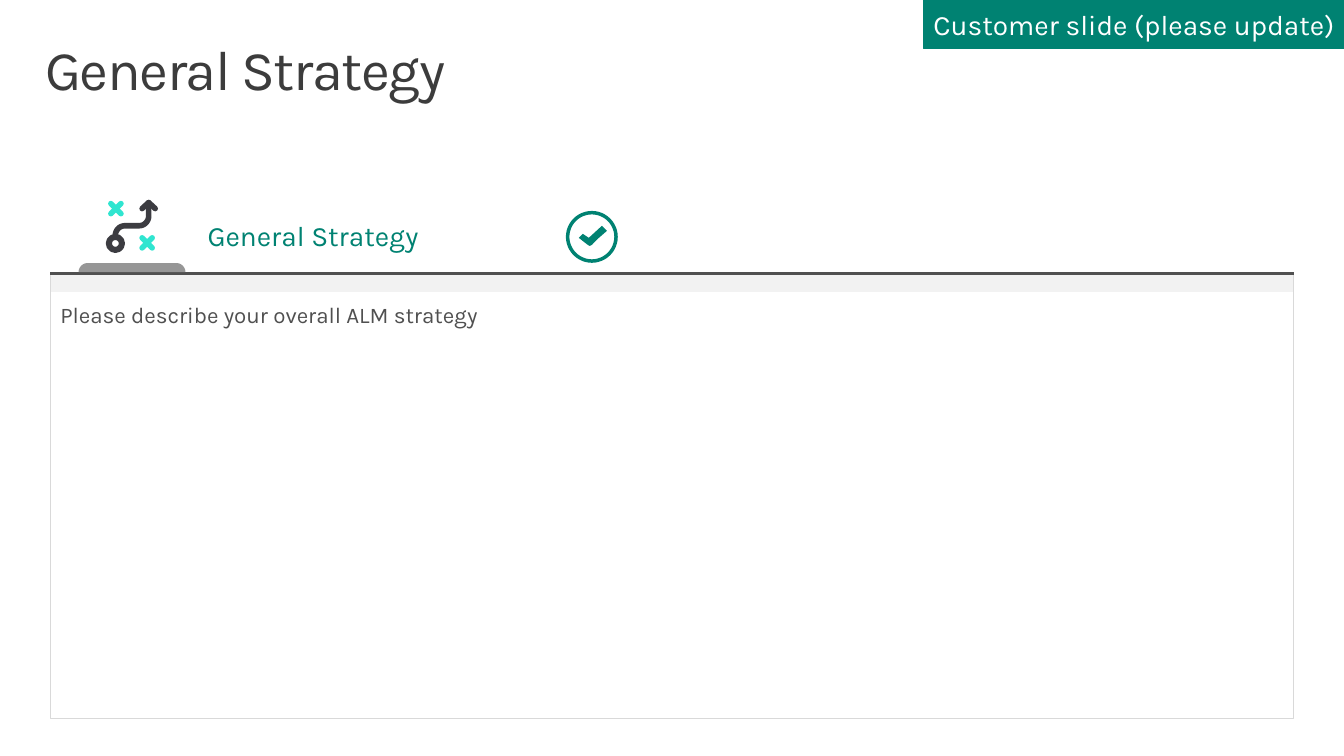
import math
import pptx
import pptx.util
import pptx.dml.color
import pptx.enum.shapes
import pptx.enum.text
import pptx.oxml
import pptx.oxml.ns

COLORS = {
    "white": "FFFFFF", "title": "3C3C3C", "text": "505050", "border": "D9D9D9",
    "band": "F2F2F2", "tab": "969696", "green": "008272", "cyan": "30E5D0", "icon": "3C3C41",
}
TITLE = "General Strategy"
SECTION = "General Strategy"
BADGE = "Customer slide (please update)"
PROMPT = "Please describe your overall ALM strategy"
LEFT, RIGHT, RULE_Y = 0.5, 12.83, 2.71
CROSSES = [(1.15, 2.07), (1.46, 2.41)]
CROSS_ARM = 0.05
CHECK_MARK = [(5.97, 2.24), (5.84, 2.36), (5.78, 2.32), (5.74, 2.36), (5.83, 2.43),
              (5.85, 2.44), (5.87, 2.43), (5.94, 2.36), (6.02, 2.29)]
ARROW_HEAD = [(1.41, 2.07), (1.475, 2.01), (1.54, 2.07)]

Inches, Pt = pptx.util.Inches, pptx.util.Pt
MSO_SHAPE = pptx.enum.shapes.MSO_SHAPE
ANCHOR = pptx.enum.text.MSO_ANCHOR

prs = pptx.Presentation()
prs.slide_width, prs.slide_height = Inches(13.33), Inches(7.5)
s = prs.slides.add_slide(prs.slide_layouts[6])


def rgb(name):
    return pptx.dml.color.RGBColor.from_string(COLORS[name])


def style(sp, fill=None, line=None, width=0.25):
    sp.shadow.inherit = False
    if fill:
        sp.fill.solid()
        sp.fill.fore_color.rgb = rgb(fill)
    else:
        sp.fill.background()
    if line:
        sp.line.color.rgb = rgb(line)
        sp.line.width = Pt(width)
    else:
        sp.line.fill.background()
    return sp


def shape(kind, x, y, w, h, **look):
    return style(s.shapes.add_shape(kind, Inches(x), Inches(y), Inches(w), Inches(h)), **look)


def outline(points, close=False, **look):
    pts = [(Inches(x), Inches(y)) for x, y in points]
    builder = s.shapes.build_freeform(*pts[0], scale=1.0)
    builder.add_line_segments(pts[1:], close=close)
    return style(builder.convert_to_shape(), **look)


def stroke(points, color):
    sp = outline(points, line=color, width=4)
    ln = sp.line.fill._xPr
    ln.set("cap", "rnd")
    ln.append(pptx.oxml.parse_xml("<a:round %s/>" % pptx.oxml.ns.nsdecls("a")))


def ring(cx, cy, r, color, width):
    shape(MSO_SHAPE.OVAL, cx - r, cy - r, 2 * r, 2 * r, line=color, width=width)


def arc(cx, cy, r, start, end, steps=10):
    angles = [math.radians(start + (end - start) * i / steps) for i in range(steps + 1)]
    return [(cx + r * math.cos(a), cy + r * math.sin(a)) for a in angles]


def write(sp, text, size, color, inset=(0.1, 0.05), anchor=ANCHOR.TOP, wrap=True,
          line_spacing=None, tracking=None):
    tf = sp.text_frame
    tf.word_wrap = wrap
    tf.vertical_anchor = anchor
    tf.margin_left = tf.margin_right = Inches(inset[0])
    tf.margin_top = tf.margin_bottom = Inches(inset[1])
    p = tf.paragraphs[0]
    p.alignment = pptx.enum.text.PP_ALIGN.LEFT
    if line_spacing:
        p.line_spacing = line_spacing
    r = p.add_run()
    r.text = text
    r.font.name, r.font.size = "Karla", Pt(size)
    r.font.color.rgb = rgb(color)
    if tracking:
        r.font._element.set("spc", str(tracking))


def textbox(x, y, w, h, *args, **kwargs):
    write(s.shapes.add_textbox(Inches(x), Inches(y), Inches(w), Inches(h)), *args, **kwargs)


panel = shape(MSO_SHAPE.RECTANGLE, LEFT, 2.89, RIGHT - LEFT, 4.24, fill="white", line="border")
write(panel, PROMPT, 16, "text", inset=(0.1, 0.1))
textbox(0.29, 0.32, 12.75, 0.98, TITLE, 40, "title", inset=(0.16, 0.1),
        line_spacing=0.9, tracking=-100)

outline([(LEFT, 2.9), (LEFT, RULE_Y), (RIGHT, RULE_Y), (RIGHT, 2.9)], fill="band", line="border")
rule = s.shapes.add_connector(pptx.enum.shapes.MSO_CONNECTOR.STRAIGHT, Inches(LEFT),
                              Inches(RULE_Y), Inches(RIGHT), Inches(RULE_Y))
rule.line.color.rgb, rule.line.width = rgb("text"), Pt(2.25)
rule._element.spPr.append(
    pptx.oxml.parse_xml("<a:effectLst %s/>" % pptx.oxml.ns.nsdecls("a")))
outline(arc(0.87, 2.7, 0.09, 180, 270) + arc(1.75, 2.7, 0.09, 270, 360), close=True, fill="tab")

badge = shape(MSO_SHAPE.RECTANGLE, 9.16, 0, 4.18, 0.48, fill="green", line="green")
write(badge, BADGE, 20, "white", anchor=ANCHOR.MIDDLE, wrap=False)
textbox(1.96, 2.12, 3.58, 0.44, SECTION, 20, "green")

ring(5.87, 2.35, 0.24, "green", 2.5)
outline(CHECK_MARK, close=True, fill="green")

for cx, cy in CROSSES:
    for slope in (1, -1):
        stroke([(cx + d, cy + slope * d) for d in (-CROSS_ARM, CROSS_ARM)], "cyan")
ring(1.145, 2.415, 0.065, "icon", 4.3)
stroke([(1.145, 2.35)] + arc(1.24, 2.335, 0.095, 180, 270)
       + arc(1.38, 2.145, 0.095, 90, 0) + [(1.475, 2.01)], "icon")
stroke(ARROW_HEAD, "icon")

prs.save("out.pptx")
